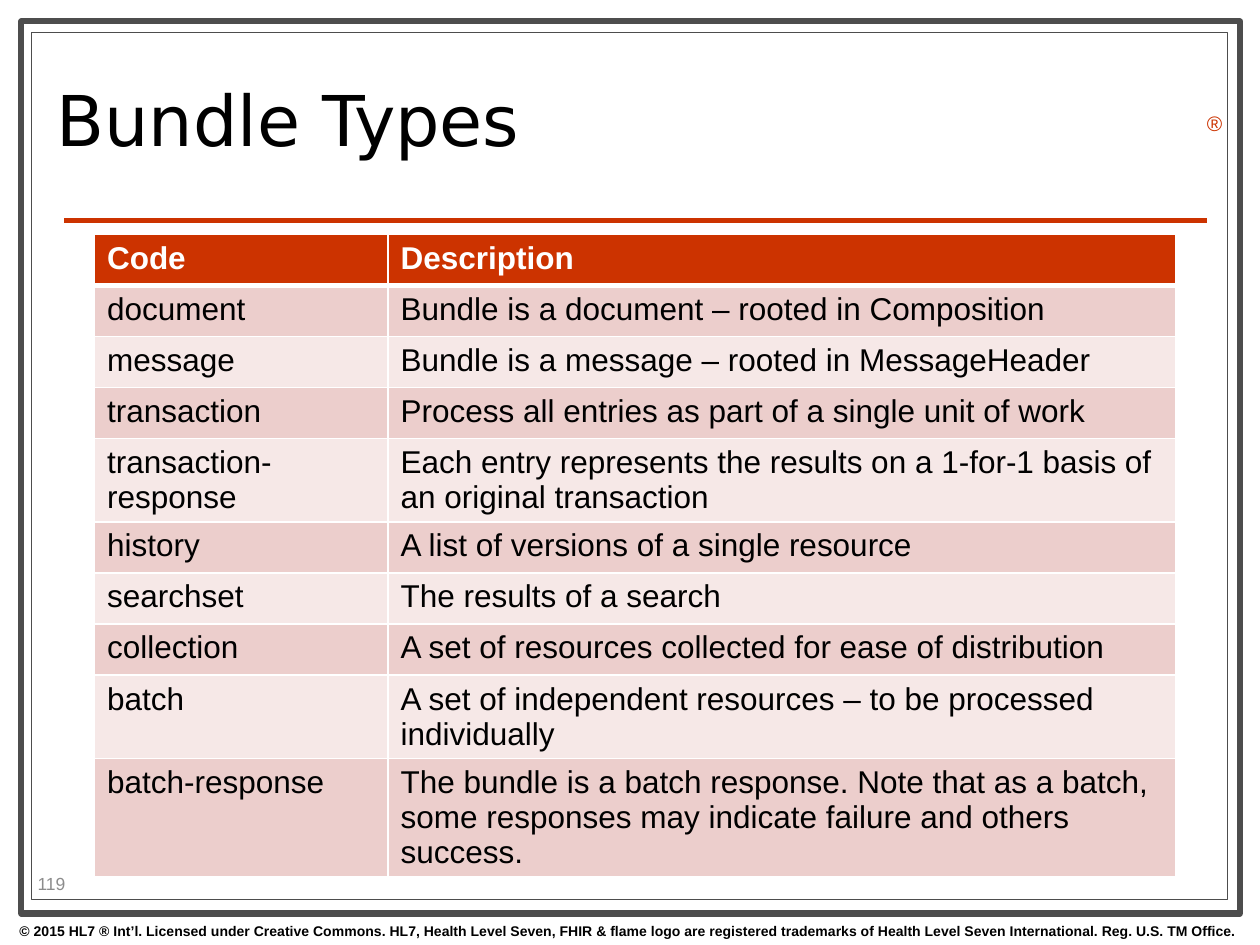
from lxml import etree
from pptx import Presentation
from pptx.dml.color import RGBColor
from pptx.enum.shapes import MSO_CONNECTOR, MSO_SHAPE
from pptx.enum.text import MSO_ANCHOR, MSO_AUTO_SIZE, PP_ALIGN
from pptx.oxml.ns import qn
from pptx.util import Inches, Pt

LEFT, MID = PP_ALIGN.LEFT, PP_ALIGN.CENTER
TOP, CENTER = MSO_ANCHOR.TOP, MSO_ANCHOR.MIDDLE
RECT, LINE = MSO_SHAPE.RECTANGLE, MSO_CONNECTOR.STRAIGHT
NONE = MSO_AUTO_SIZE.NONE
HUES = {"ink": "000000", "paper": "FFFFFF", "frame": "4D4D4D", "red": "CC3300",
        "gray": "8C8C8C", "dark": "ECCECC", "light": "F6E8E7"}
RGB = {name: RGBColor.from_string(hue) for name, hue in HUES.items()}

deck = Presentation()
deck.slide_width, deck.slide_height = Inches(10), Inches(7.5)
slide = deck.slides.add_slide(deck.slide_layouts[5])
shapes = slide.shapes


def place(x, y, w, h):
    wide, high = deck.slide_width / 100, deck.slide_height / 100
    return [int(x * wide), int(y * high), int(w * wide), int(h * high)]


def write(frame, text, size, hue, bold=False, face="Arial", align=LEFT):
    para = frame.paragraphs[0]
    para.alignment = align
    run = para.add_run()
    run.text = text
    font = run.font
    font.name, font.size, font.bold = face, Pt(size), bold
    font.color.rgb = RGB[hue]


for spot, width in [((1.7, 2.27, 96.7, 94.4), 3.5), ((2.5, 3.47, 94.9, 91.73), 0.75)]:
    border = shapes.add_shape(RECT, *place(*spot))
    border.shadow.inherit = False
    border.fill.solid()
    border.fill.fore_color.rgb = RGB["paper"]
    border.line.color.rgb = RGB["frame"]
    border.line.width = Pt(width)

x, y, w, h = place(5.1, 23.33, 90.7, 0)
rule = shapes.add_connector(LINE, x, y, x + w, y)
rule.line.color.rgb = RGB["red"]
rule.line.width = Pt(3)
etree.SubElement(rule._element.spPr, qn("a:effectLst"))

NOTES = [
    ((-0.1, 96.93, 100, 3.07), "© 2015 HL7 ® Int’l. Licensed under Creative Commons. HL7, Health Level Seven, "
     "FHIR & flame logo are registered trademarks of Health Level Seven International. Reg. U.S. TM Office.",
     8, "ink", True, MID, TOP),
    ((94.8, 11.07, 3.1, 4), "®", 12, "red", False, LEFT, TOP),
    ((2, 91.87, 7.9, 3.2), "119", 10, "gray", False, LEFT, CENTER),
]
for spot, text, size, hue, bold, align, anchor in NOTES:
    frame = shapes.add_textbox(*place(*spot)).text_frame
    frame.word_wrap = True
    frame.auto_size = NONE
    frame.vertical_anchor = anchor
    write(frame, text, size, hue, bold, align=align)

title = shapes.title
title.left, title.top, title.width, title.height = place(3.5, 4.8, 71.7, 17.2)
title.text_frame.auto_size = NONE
title.text_frame.vertical_anchor = CENTER
write(title.text_frame, "Bundle Types", 40, "ink", face="DejaVu Sans")
title.text_frame.paragraphs[0].line_spacing = 0.8
shapes._spTree.append(title._element)

ROWS = [
    ("Code", "Description"),
    ("document", "Bundle is a document – rooted in Composition"),
    ("message", "Bundle is a message – rooted in MessageHeader"),
    ("transaction", "Process all entries as part of a single unit of work"),
    ("transaction-response", "Each entry represents the results on a 1-for-1 basis of an original transaction"),
    ("history", "A list of versions of a single resource"),
    ("searchset", "The results of a search"),
    ("collection", "A set of resources collected for ease of distribution"),
    ("batch", "A set of independent resources – to be processed individually"),
    ("batch-response", "The bundle is a batch response. Note that as a batch, "
     "some responses may indicate failure and others success."),
]
table = shapes.add_table(len(ROWS), 2, *place(7.5, 24.8, 85.8, 54)).table
for col, share in zip(table.columns, (23.3, 62.5)):
    col.width = place(0, 0, share, 0)[2]
for r, row in enumerate(ROWS):
    table.rows[r].height = Pt(29.2)
    head = r == 0
    back = "red" if head else "dark" if r % 2 else "light"
    for c, text in enumerate(row):
        cell = table.cell(r, c)
        props = cell._tc.get_or_add_tcPr()
        for side in "LRTB":
            thick = (side == "B" and head) or (side == "T" and r == 1)
            edge = etree.SubElement(props, qn("a:ln" + side), w=str(Pt(3 if thick else 1)))
            fill = etree.SubElement(edge, qn("a:solidFill"))
            etree.SubElement(fill, qn("a:srgbClr"), val=HUES["paper"])
        cell.fill.solid()
        cell.fill.fore_color.rgb = RGB[back]
        write(cell.text_frame, text, 18, "paper" if head else "ink", head)

deck.save("out.pptx")
